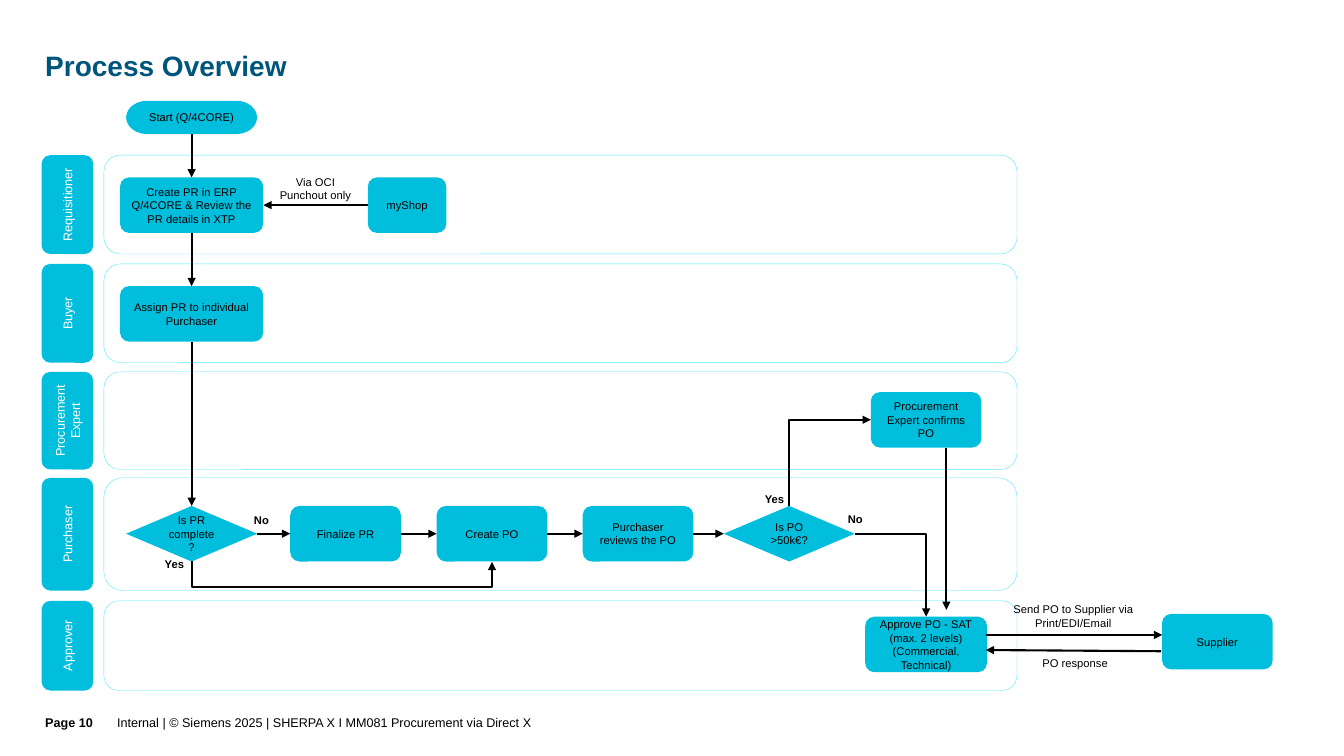
from lxml.etree import SubElement
from pptx import Presentation
from pptx.dml.color import RGBColor
from pptx.enum.shapes import MSO_CONNECTOR as LINE, MSO_SHAPE as SHAPE
from pptx.enum.text import MSO_ANCHOR as ANCHOR, PP_ALIGN as ALIGN
from pptx.oxml.ns import qn
from pptx.util import Cm, Pt

# Content; all lengths in centimetres
COLORS = {"title": "00557C", "fill": "00BEDC", "lane": "51E7FF",
          "text": "000000", "label": "FFFFFF"}
FONT = "Arial"
LANE_LEFT, LANE_WIDTH = 2.62, 23.01
LABEL_CENTER, LABEL_WIDTH = 1.7, 1.3
LANES = [  # name, top, height
    ("Requisitioner", 3.91, 2.49),
    ("Buyer", 6.65, 2.49),
    ("Procurement Expert", 9.37, 2.46),
    ("Purchaser", 12.04, 2.84),
    ("Approver", 15.14, 2.26),
]
FIRST_COLUMN, REQUEST_ROW, ORDER_ROW = 4.83, 5.17, 13.45
STEP_HEIGHT, STEP_WIDTH, WIDE_STEP, DECISION_WIDTH = 1.4, 2.79, 3.61, 3.3
STEP, DECISION = SHAPE.FLOWCHART_ALTERNATE_PROCESS, SHAPE.FLOWCHART_DECISION
STEPS = {  # key: form, centre x, centre y, width, height, paragraphs
    "start": (SHAPE.FLOWCHART_TERMINATOR, FIRST_COLUMN, 2.96, DECISION_WIDTH, 0.84,
              ["Start (Q/4CORE)"]),
    "request": (STEP, FIRST_COLUMN, REQUEST_ROW, WIDE_STEP, STEP_HEIGHT,
                ["Create PR in ERP Q/4CORE & Review the PR details in XTP"]),
    "mall": (STEP, 10.26, REQUEST_ROW, 1.98, STEP_HEIGHT, ["myShop"]),
    "assign": (STEP, FIRST_COLUMN, 7.91, WIDE_STEP, STEP_HEIGHT,
               ["Assign PR to individual Purchaser"]),
    "complete": (DECISION, FIRST_COLUMN, ORDER_ROW, DECISION_WIDTH, STEP_HEIGHT,
                 ["Is PR complete?"]),
    "finalize": (STEP, 8.71, ORDER_ROW, STEP_WIDTH, STEP_HEIGHT, ["Finalize PR"]),
    "create": (STEP, 12.4, ORDER_ROW, STEP_WIDTH, STEP_HEIGHT, ["Create PO"]),
    "review": (STEP, 16.08, ORDER_ROW, STEP_WIDTH, STEP_HEIGHT,
               ["Purchaser reviews the PO"]),
    "amount": (DECISION, 19.89, ORDER_ROW, DECISION_WIDTH, STEP_HEIGHT, ["Is PO >50k€?"]),
    "confirm": (STEP, 23.34, 10.58, STEP_WIDTH, STEP_HEIGHT,
                ["Procurement Expert confirms PO"]),
    "approve": (STEP, 23.34, 16.24, 3.07, STEP_HEIGHT,
                ["Approve PO - SAT", "(max. 2 levels)", "(Commercial,", "Technical)"]),
    "supplier": (STEP, 30.68, 16.17, STEP_WIDTH, STEP_HEIGHT, ["Supplier"]),
}
TOP, LEFT, BOTTOM, RIGHT = range(4)
STRAIGHT_FLOWS = [
    ("start", BOTTOM, "request", TOP),
    ("mall", LEFT, "request", RIGHT),
    ("request", BOTTOM, "assign", TOP),
    ("assign", BOTTOM, "complete", TOP),
    ("complete", RIGHT, "finalize", LEFT),
    ("finalize", RIGHT, "create", LEFT),
    ("create", RIGHT, "review", LEFT),
    ("review", RIGHT, "amount", LEFT),
]
FREE_FLOWS = [  # from x, from y, to x, to y
    (23.85, 11.28, 23.85, 15.37),
    (24.84, 16.0, 29.29, 16.0),
    (29.26, 16.41, 24.84, 16.38),
]
ELBOW_FLOWS = [  # from, to, preset, rotation, flips, depth of the bend
    ("complete", BOTTOM, "create", BOTTOM, "bentConnector3", 270, "H", 0.66),
    ("amount", TOP, "confirm", LEFT, "bentConnector2", 90, "HV", None),
    ("amount", RIGHT, "approve", TOP, "bentConnector2", 0, "", None),
]
FLOW_LABELS = [  # text, left, top, width, height, bold
    ("Via OCI Punchout only", 6.96, 4.42, 1.98, 0.69, False),
    ("No", 6.4, 12.93, 0.38, 0.33, True),
    ("Yes", 4.14, 14.05, 0.51, 0.33, True),
    ("Yes", 19.1, 12.4, 0.84, 0.33, True),
    ("No", 21.21, 12.9, 0.69, 0.33, True),
    ("Send PO to Supplier via Print/EDI/Email", 25.22, 15.19, 3.66, 0.69, False),
    ("PO response", 25.43, 16.54, 3.33, 0.33, False),
]
FOOTER = [  # text, left, width, bold
    ("Page 10", 1.14, 1.8, True),
    ("Internal | © Siemens 2025 | SHERPA X I MM081 Procurement via Direct X",
     2.95, 25.6, False),
]

presentation = Presentation()
presentation.slide_width, presentation.slide_height = Cm(33.87), Cm(19.05)
slide = presentation.slides.add_slide(presentation.slide_layouts[6])


def color(name):
    return RGBColor.from_string(COLORS[name])


def write(shape, lines, size, ink="text", bold=False, align=ALIGN.CENTER,
          anchor=ANCHOR.MIDDLE, insets=(0.2, 0.2, 0.2, 0.2), wrap=True):
    frame = shape.text_frame
    frame.word_wrap, frame.vertical_anchor = wrap, anchor
    frame.margin_left, frame.margin_top, frame.margin_right, frame.margin_bottom = map(Cm, insets)
    for index, line in enumerate(lines):
        paragraph = frame.add_paragraph() if index else frame.paragraphs[0]
        paragraph.alignment = align
        run = paragraph.add_run()
        run.text = line
        run.font.name, run.font.size, run.font.bold = FONT, Pt(size), bold
        run.font.color.rgb = color(ink)
    return frame


def add_box(form, center_x, center_y, width, height, fill=None):
    shape = slide.shapes.add_shape(form, Cm(center_x - width / 2), Cm(center_y - height / 2),
                                   Cm(width), Cm(height))
    shape.shadow.inherit = False
    if fill:
        shape.fill.solid()
        shape.fill.fore_color.rgb = color(fill)
        shape.line.fill.background()
    else:
        shape.fill.background()
        shape.line.color.rgb = color("lane")
        shape.line.width = Pt(0.25)
    return shape


def add_text(left, top, width, height):
    return slide.shapes.add_textbox(Cm(left), Cm(top), Cm(width), Cm(height))


def add_arrow(kind, from_x=0, from_y=0, to_x=0, to_y=0):
    arrow = slide.shapes.add_connector(kind, Cm(from_x), Cm(from_y), Cm(to_x), Cm(to_y))
    arrow.line.color.rgb = color("text")
    arrow.line.width = Pt(1.5)
    properties = arrow.element.spPr
    SubElement(properties.find(qn("a:ln")), qn("a:tailEnd"), type="triangle")
    SubElement(properties, qn("a:effectLst"))
    return arrow


def join(kind, source, source_side, target, target_side):
    arrow = add_arrow(kind)
    arrow.begin_connect(steps[source], source_side)
    arrow.end_connect(steps[target], target_side)
    return arrow


def bend(arrow, preset, rotation, flips, depth):
    """Turn a joined elbow so that it leaves and enters on the right sides."""
    across = abs(arrow.end_x - arrow.begin_x)
    down = abs(arrow.end_y - arrow.begin_y)
    center_x = (arrow.begin_x + arrow.end_x) // 2
    center_y = (arrow.begin_y + arrow.end_y) // 2
    width, height = (down, across) if rotation in (90, 270) else (across, down)
    width = max(width, Cm(0.02))
    arrow.left, arrow.top = center_x - width // 2, center_y - height // 2
    arrow.width, arrow.height, arrow.rotation = width, height, rotation
    properties = arrow.element.spPr
    for axis in "HV":
        properties.find(qn("a:xfrm")).set("flip" + axis, str(int(axis in flips)))
    geometry = properties.find(qn("a:prstGeom"))
    geometry.set("prst", preset)
    if depth:
        share = round(Cm(depth) / width * 100000)
        SubElement(geometry.find(qn("a:avLst")), qn("a:gd"), name="adj1", fmla=f"val {share}")


# Title
title = write(add_text(1.14, 1.32, 27.41, 1.6), ["Process Overview"], 20, "title", True,
              ALIGN.LEFT, ANCHOR.TOP, (0, 0, 0.89, 0.05))
title.paragraphs[0].line_spacing = 0.9

# Swimlanes with their upright labels
for name, top, height in LANES:
    middle = top + height / 2
    add_box(SHAPE.ROUNDED_RECTANGLE, LANE_LEFT + LANE_WIDTH / 2, middle, LANE_WIDTH, height)
    label = add_box(SHAPE.ROUNDED_RECTANGLE, LABEL_CENTER, middle, height, LABEL_WIDTH, "fill")
    label.rotation = 270
    write(label, [name], 9, "label")

# Process steps
steps = {}
for key, (form, center_x, center_y, width, height, lines) in STEPS.items():
    steps[key] = add_box(form, center_x, center_y, width, height, "fill")
    write(steps[key], lines, 8)

# Arrows
for flow in STRAIGHT_FLOWS:
    join(LINE.STRAIGHT, *flow)
for flow in FREE_FLOWS:
    add_arrow(LINE.STRAIGHT, *flow)
for *ends, preset, rotation, flips, depth in ELBOW_FLOWS:
    bend(join(LINE.ELBOW, *ends), preset, rotation, flips, depth)

# Arrow labels
for text, left, top, width, height, bold in FLOW_LABELS:
    write(add_text(left, top, width, height), [text], 8, bold=bold, anchor=ANCHOR.TOP,
          insets=(0, 0, 0, 0), wrap=" " in text)

# Footer
for text, left, width, bold in FOOTER:
    write(add_text(left, 17.53, width, 1.52), [text], 9, bold=bold, align=ALIGN.LEFT,
          insets=(0, 0, 0, 0.18))

presentation.save("out.pptx")
